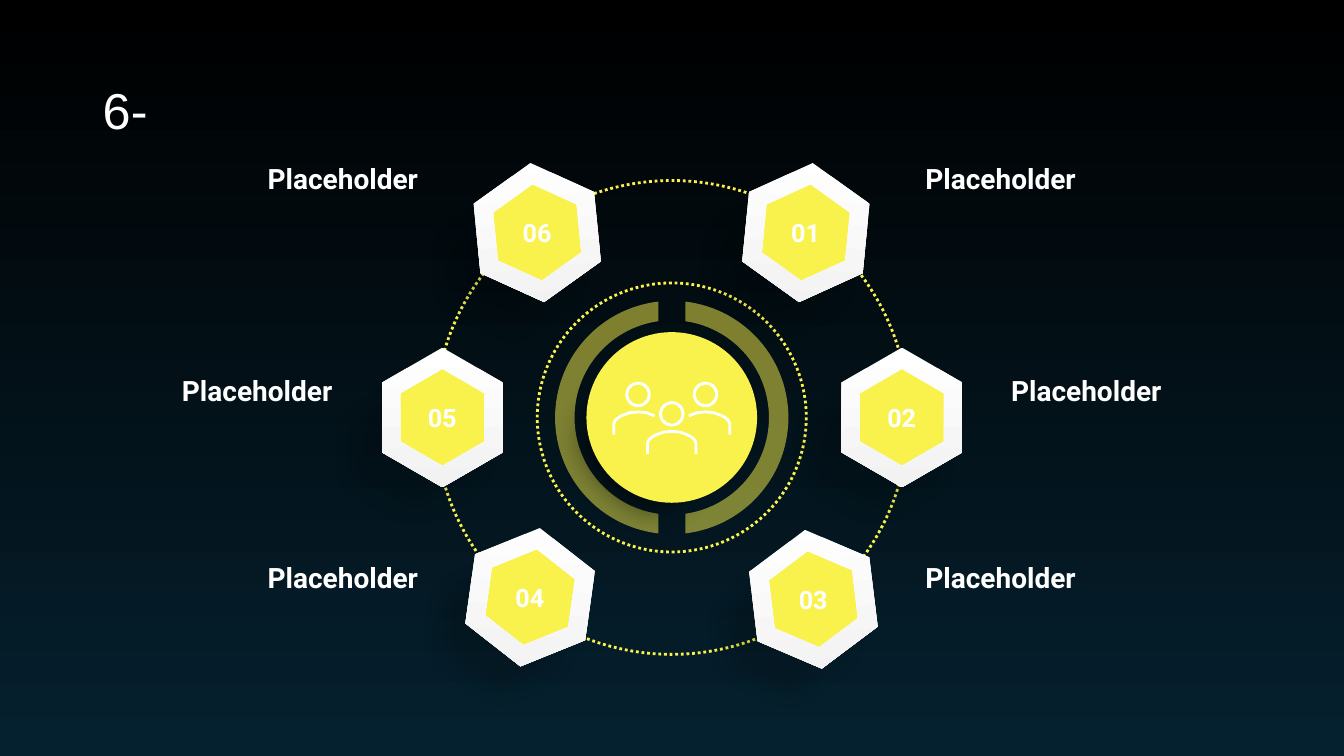
from dataclasses import dataclass
from math import asin, cos, pi, sin

from pptx import Presentation
from pptx.dml.color import RGBColor
from pptx.enum.dml import MSO_LINE
from pptx.enum.shapes import MSO_SHAPE
from pptx.enum.text import MSO_ANCHOR, PP_ALIGN
from pptx.oxml.ns import qn
from pptx.util import Cm, Pt
from lxml.etree import SubElement

YELLOW, WHITE, BLACK = "FAF24C", "FFFFFF", "000000"
CENTER_X, CENTER_Y = 16.93, 10.52
SHADOW_DX, SHADOW_DY = -0.7, 0.83
Points = list[tuple[float, float]]


@dataclass
class Step:
    number: str
    x: float
    y: float
    rotation: float
    label_gap: float  # from the slide's centre line to the label
    label_top: float

    @property
    def side(self) -> int:
        return 1 if self.x > CENTER_X else -1


@dataclass
class Person:
    x: float
    head_y: float
    start: int  # first and last point used of the shoulder outline
    end: int


STEPS = [
    Step("01", 20.31, 5.86, 5.6, 6.39, 3.94),
    Step("02", 22.73, 10.52, 0, 8.55, 9.3),
    Step("03", 20.5, 15.1, -6.9, 6.39, 14),
    Step("04", 13.36, 15.05, 8, 6.39, 14),
    Step("05", 11.15, 10.52, 0, 8.55, 9.3),
    Step("06", 13.54, 5.86, -5.6, 6.39, 3.94),
]
PEOPLE = [
    Person(16.08, 9.94, 0, 9),
    Person(17.78, 9.94, 4, 13),
    Person(CENTER_X, 10.43, 0, 13),
]
LEFT_SHOULDER = [(-0.61, 0.57), (-0.61, 0.3), (-0.58, 0.22), (-0.52, 0.16),
                 (-0.42, 0.1), (-0.21, 0.02)]
SHOULDERS = LEFT_SHOULDER + [(0, 0)] + [(-x, y) for x, y in reversed(LEFT_SHOULDER)]


def color(value: str) -> RGBColor:
    return RGBColor.from_string(value)


def paint(shape, fill: str, opacity: int = 100, soft_edge: float = 0) -> None:
    """Fill a shape without outline; opacity in percent, soft edge in cm."""
    shape.shadow.inherit = False
    shape.line.fill.background()
    shape.fill.solid()
    shape.fill.fore_color.rgb = color(fill)
    properties = shape.element.spPr
    if opacity < 100:
        tone = properties.find(qn("a:solidFill")).find(qn("a:srgbClr"))
        SubElement(tone, qn("a:alpha"), val=str(opacity * 1000))
    if soft_edge:
        effects = properties.find(qn("a:effectLst"))
        SubElement(effects, qn("a:softEdge"), rad=str(int(Cm(soft_edge))))


def paint_gradient(fill, stops: list[tuple[float, str]]) -> None:
    """Apply a gradient running from top to bottom."""
    fill.gradient()
    fill.gradient_angle = 270
    for stop, (position, value) in zip(fill.gradient_stops, stops):
        stop.position = position
        stop.color.rgb = color(value)


def add_circle(page, x: float, y: float, radius: float, kind=MSO_SHAPE.OVAL):
    return page.shapes.add_shape(kind, Cm(x - radius), Cm(y - radius),
                                 Cm(2 * radius), Cm(2 * radius))


def add_outline(page, *contours: Points, close: bool = True):
    first, *others = [[(Cm(x), Cm(y)) for x, y in contour] for contour in contours]
    builder = page.shapes.build_freeform(*first[0])
    builder.add_line_segments(first[1:], close=close)
    for contour in others:
        builder.move_to(*contour[0])
        builder.add_line_segments(contour[1:], close=close)
    return builder.convert_to_shape()


def hexagon(x: float, y: float, radius: float) -> Points:
    angles = [pi / 2 + corner * pi / 3 for corner in range(6)]
    return [(x + radius * cos(a), y + radius * sin(a)) for a in angles]


def add_text(page, text: str, left: float, top: float, width: float, height: float,
             size: int, font: str = "Roboto", bold: bool = True,
             align=PP_ALIGN.LEFT, anchor=MSO_ANCHOR.MIDDLE, inset: float = 0):
    box = page.shapes.add_textbox(Cm(left), Cm(top), Cm(width), Cm(height))
    frame = box.text_frame
    frame.word_wrap = True
    frame.vertical_anchor = anchor
    frame.margin_left = frame.margin_right = Cm(inset)
    frame.margin_top = frame.margin_bottom = Cm(inset / 2)
    para = frame.paragraphs[0]
    para.alignment = align
    span = para.add_run()
    span.text = text
    span.font.name = font
    span.font.size = Pt(size)
    span.font.bold = bold
    span.font.color.rgb = color(WHITE)
    return para


def add_dotted_circle(page, radius: float) -> None:
    circle = add_circle(page, CENTER_X, CENTER_Y, radius)
    circle.shadow.inherit = False
    circle.fill.background()
    circle.line.color.rgb = color(YELLOW)
    circle.line.width = Pt(2)
    circle.line.dash_style = MSO_LINE.ROUND_DOT


def add_half_ring(page, side: int, outer: float = 2.94, inner: float = 2.45,
                  gap: float = 0.34, pieces: int = 60) -> None:
    """Draw half of the ring, cut straight at the gap beside the centre line."""
    def arc(radius: float) -> Points:
        start = asin(gap / radius)
        angles = [start + (pi - 2 * start) * i / pieces for i in range(pieces + 1)]
        return [(CENTER_X + side * radius * sin(a), CENTER_Y - radius * cos(a))
                for a in angles]
    paint(add_outline(page, arc(outer) + arc(inner)[::-1]), YELLOW, opacity=50)


def add_step_shadow(page, step: Step) -> None:
    shadow = add_outline(page, hexagon(step.x + SHADOW_DX, step.y + SHADOW_DY, 2.51))
    paint(shadow, BLACK, opacity=18, soft_edge=0.6)
    shadow.rotation = step.rotation


def add_step_badge(page, step: Step) -> None:
    core = add_outline(page, hexagon(step.x, step.y, 1.5))
    paint(core, YELLOW)
    frame = add_outline(page, hexagon(step.x, step.y, 1.76),
                        hexagon(step.x, step.y, 1.22)[::-1])
    paint(frame, WHITE)
    paint_gradient(frame.fill, [(0, WHITE), (1, "F2F2F2")])
    core.rotation = frame.rotation = step.rotation


def add_step_text(page, step: Step) -> None:
    add_text(page, step.number, step.x - 0.73, step.y - 0.64, 1.45, 1.27, 18,
             align=PP_ALIGN.CENTER)
    width = 5.89
    on_right = step.side > 0
    left = CENTER_X + step.label_gap if on_right else CENTER_X - step.label_gap - width
    add_text(page, "Placeholder", left, step.label_top, width, 0.97, 20,
             align=PP_ALIGN.LEFT if on_right else PP_ALIGN.RIGHT,
             anchor=MSO_ANCHOR.BOTTOM)


def add_person(page, person: Person) -> None:
    head = add_circle(page, person.x, person.head_y, 0.32, MSO_SHAPE.DONUT)
    head.adjustments[0] = 0.11
    paint(head, WHITE)
    top = person.head_y + 0.44
    points = [(person.x + x, top + y) for x, y in SHOULDERS[person.start:person.end]]
    body = add_outline(page, points, close=False)
    body.shadow.inherit = False
    body.fill.background()
    body.line.color.rgb = color(WHITE)
    body.line.width = Pt(2)


def main() -> None:
    deck = Presentation()
    deck.slide_width, deck.slide_height = Cm(33.87), Cm(19.05)
    page = deck.slides.add_slide(deck.slide_layouts[6])
    paint_gradient(page.background.fill, [(0, BLACK), (0.99, "05202E")])

    title = add_text(page, "6-", 2.34, 1.02, 29.21, 3.68, 36, font="Arial",
                     bold=False, inset=0.25)
    title.line_spacing = 0.9

    add_dotted_circle(page, 5.97)
    for side in (-1, 1):
        add_half_ring(page, side)
    add_dotted_circle(page, 3.39)
    disc_shadow = add_circle(page, CENTER_X - 0.52, CENTER_Y + 0.56, 2.67)
    paint(disc_shadow, BLACK, opacity=61, soft_edge=0.8)
    for step in STEPS:
        add_step_shadow(page, step)
    paint(add_circle(page, CENTER_X, CENTER_Y, 2.15), YELLOW)
    for step in STEPS:
        add_step_badge(page, step)
        add_step_text(page, step)
    for person in PEOPLE:
        add_person(page, person)
    deck.save("out.pptx")


if __name__ == "__main__":
    main()
